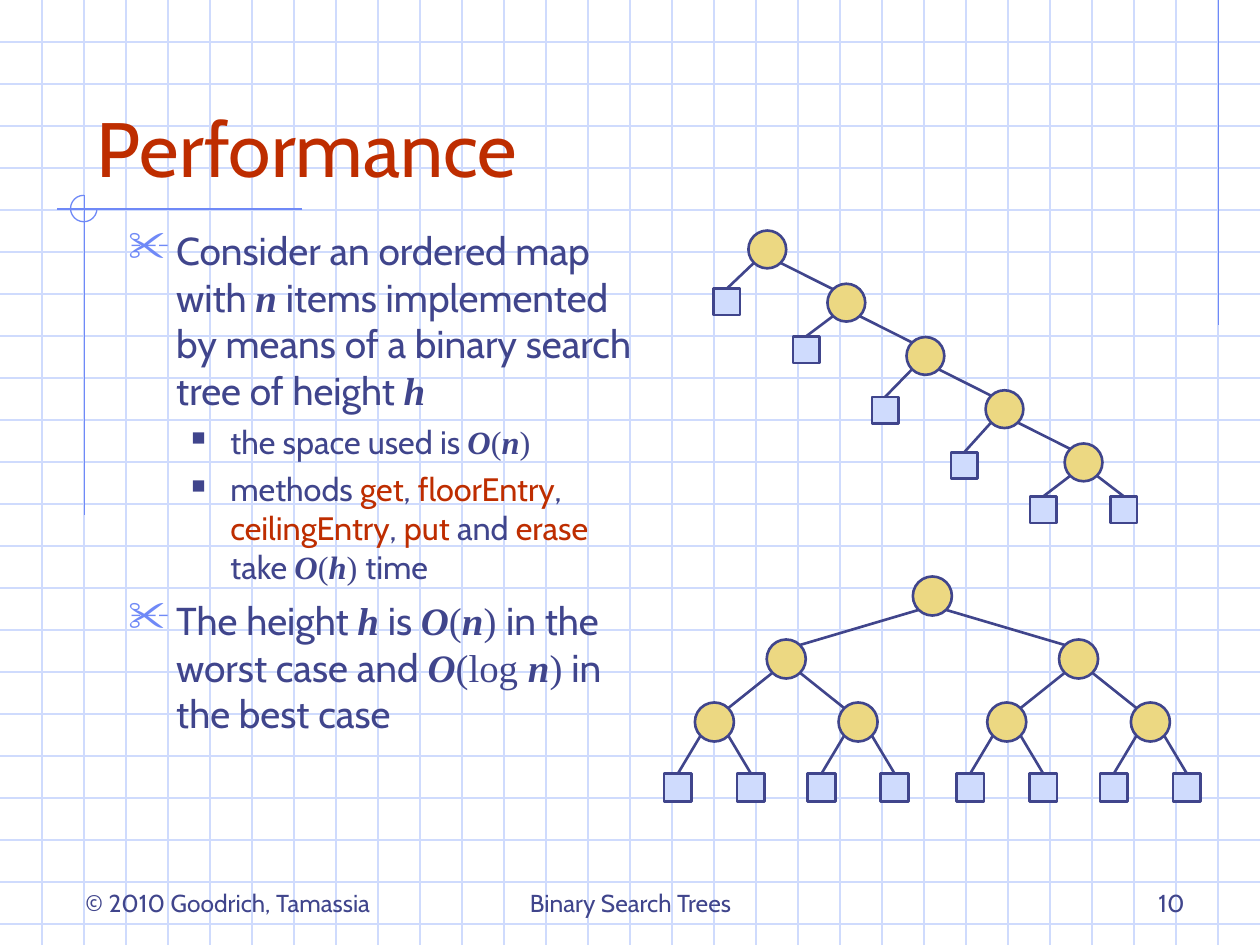
from lxml import etree
from pptx import Presentation
from pptx.dml.color import RGBColor
from pptx.enum import shapes, text
from pptx.oxml import ns
from pptx.util import Inches, Pt

NAVY = RGBColor(0x40, 0x45, 0x8C)
RED = RGBColor(0xBE, 0x2D, 0x00)
BLUE = RGBColor(0x6F, 0x89, 0xF7)
PALE = RGBColor(0xCF, 0xDB, 0xFD)
GOLD = RGBColor(0xEC, 0xD8, 0x82)
SANS, SERIF = "Cabin", "Times New Roman"

PLAIN = (SANS, False, NAVY)
METHOD = (SANS, False, RED)
SYMBOL = (SERIF, True, NAVY)
MATH = (SERIF, False, NAVY)

WIDTH, HEIGHT, GRID_PER_INCH = 10, 7.5, 3
RULES = [
    (9.67, 0, 9.67, 2.58),
    (2.4, 1.66, 0.45, 1.66),
    (0.67, 1.55, 0.67, 4.09),
]
LABELS = [
    ("Performance", (0.67, 0.33, 8.75, 1.25), 44, RED, text.PP_ALIGN.LEFT),
    ("© 2010 Goodrich, Tamassia", (0.58, 6.83, 2.67, 0.5), 14, NAVY, text.PP_ALIGN.LEFT),
    ("Binary Search Trees", (3.42, 6.83, 3.17, 0.5), 14, NAVY, text.PP_ALIGN.CENTER),
    ("10", (7.17, 6.83, 2.33, 0.5), 14, NAVY, text.PP_ALIGN.RIGHT),
]
LEVELS = [
    dict(size=22.2, before=6, left=0.38, hang=0.38, bullet="✂", color=BLUE, percent=110),
    dict(size=18.5, before=5, left=0.81, hang=0.31, bullet="■", color=NAVY, percent=60),
]
BODY = [
    (0, [("Consider an ordered map with ", PLAIN), ("n", SYMBOL),
         (" items implemented by means of a binary search tree of height ", PLAIN),
         ("h", SYMBOL)]),
    (1, [("the space used is ", PLAIN), ("O", SYMBOL), ("(", MATH), ("n", SYMBOL), (")", MATH)]),
    (1, [("methods ", PLAIN), ("get", METHOD), (", ", PLAIN), ("floorEntry", METHOD),
         (", ", PLAIN), ("ceilingEntry", METHOD), (",", PLAIN), (" put ", METHOD),
         ("and ", PLAIN), ("erase", METHOD), (" take ", PLAIN), ("O", SYMBOL),
         ("(", MATH), ("h", SYMBOL), (") ", MATH), ("time", PLAIN)]),
    (0, [("The height ", PLAIN), ("h", SYMBOL), (" is ", PLAIN), ("O", SYMBOL),
         ("(", MATH), ("n", SYMBOL), (") ", MATH), ("in the worst case and ", PLAIN),
         ("O", SYMBOL), ("(log ", MATH), ("n", SYMBOL), (")", MATH),
         (" in the best case", PLAIN)]),
]

CHAIN_START, CHAIN_END = (6.09, 1.98), (8.6, 3.67)
CHAIN_LEAF_TOPS = [2.29, 2.67, 3.15, 3.59, 3.94]
CHAIN_LEAF_OFFSET = 0.32
ROOT = (7.4, 4.73)
LEVEL_OFFSETS, LEVEL_GAP = [1.16, 0.57], 0.5
BALANCED_LEAF_OFFSET, BALANCED_LEAF_TOP = 0.29, 6.14


def add_line(page, ends, color, weight):
    line = page.shapes.add_connector(shapes.MSO_CONNECTOR.STRAIGHT, *map(Inches, ends))
    line.line.color.rgb = color
    line.line.width = Pt(weight)
    etree.SubElement(line._element.spPr, ns.qn("a:effectLst"))
    return line


def add_figure(page, kind, place, fill, color, weight):
    figure = page.shapes.add_shape(kind, *map(Inches, place))
    figure.shadow.inherit = False
    if fill is None:
        figure.fill.background()
    else:
        figure.fill.solid()
        figure.fill.fore_color.rgb = fill
    figure.line.color.rgb = color
    figure.line.width = Pt(weight)
    return figure


def add_box(page, place, anchor):
    box = page.shapes.add_textbox(*map(Inches, place))
    box.text_frame.word_wrap = True
    box.text_frame.vertical_anchor = anchor
    return box.text_frame


def add_bullet(para, level):
    props = para._p.get_or_add_pPr()
    props.set("marL", str(Inches(level["left"])))
    props.set("indent", str(-Inches(level["hang"])))
    color = etree.SubElement(props, ns.qn("a:buClr"))
    etree.SubElement(color, ns.qn("a:srgbClr"), val=str(level["color"]))
    etree.SubElement(props, ns.qn("a:buSzPct"), val=str(level["percent"] * 1000))
    etree.SubElement(props, ns.qn("a:buChar"), char=level["bullet"])


def add_body(page):
    frame = add_box(page, (0.92, 1.75, 4.25, 5.08), text.MSO_ANCHOR.TOP)
    for index, (depth, spans) in enumerate(BODY):
        level = LEVELS[depth]
        para = frame.add_paragraph() if index else frame.paragraphs[0]
        para.level = depth
        add_bullet(para, level)
        para.space_before = Pt(level["before"] if index else 0)
        para.font.size = Pt(level["size"])
        for words, (font, slanted, color) in spans:
            span = para.add_run()
            span.text = words
            span.font.name = font
            span.font.bold = span.font.italic = slanted
            span.font.color.rgb = color


def draw_tree(page, nodes, leaves, node_size, leaf_size):
    reach = node_size * 0.36
    for x, y, parent in nodes:
        if parent is not None:
            px, py, _ = nodes[parent]
            side = 1 if x > px else -1
            add_line(page, (px + side * reach, py + reach, x - side * reach, y - reach),
                     NAVY, 1.5)
    for x, top, parent in leaves:
        px, py, _ = nodes[parent]
        side = 1 if x > px else -1
        leaf = add_figure(page, shapes.MSO_SHAPE.RECTANGLE,
                          (x - leaf_size / 2, top, leaf_size, leaf_size), PALE, NAVY, 1.5)
        edge = add_line(page, (px + side * reach, py + reach, x, top), NAVY, 1.5)
        edge.end_connect(leaf, 0)
    for x, y, _ in nodes:
        add_figure(page, shapes.MSO_SHAPE.OVAL,
                   (x - node_size / 2, y - node_size / 2, node_size, node_size),
                   GOLD, NAVY, 1.5)


def chain_tree():
    last = len(CHAIN_LEAF_TOPS) - 1
    (x0, y0), (x1, y1) = CHAIN_START, CHAIN_END
    nodes = [(x0 + (x1 - x0) * i / last, y0 + (y1 - y0) * i / last, i - 1 if i else None)
             for i in range(last + 1)]
    leaves = [(nodes[i][0] - CHAIN_LEAF_OFFSET, top, i)
              for i, top in enumerate(CHAIN_LEAF_TOPS)]
    leaves.append((nodes[last][0] + CHAIN_LEAF_OFFSET, CHAIN_LEAF_TOPS[last], last))
    return nodes, leaves


def balanced_tree():
    nodes, level = [(*ROOT, None)], [0]
    for offset in LEVEL_OFFSETS:
        start = len(nodes)
        nodes += [(nodes[i][0] + side * offset, nodes[i][1] + LEVEL_GAP, i)
                  for i in level for side in (-1, 1)]
        level = range(start, len(nodes))
    leaves = [(nodes[i][0] + side * BALANCED_LEAF_OFFSET, BALANCED_LEAF_TOP, i)
              for i in level for side in (-1, 1)]
    return nodes, leaves


def main():
    deck = Presentation()
    deck.slide_width, deck.slide_height = Inches(WIDTH), Inches(HEIGHT)
    page = deck.slides.add_slide(deck.slide_layouts[6])

    for i in range(1, int(HEIGHT * GRID_PER_INCH) + 1):
        add_line(page, (0, i / GRID_PER_INCH, WIDTH, i / GRID_PER_INCH), PALE, 0.75)
    for i in range(1, WIDTH * GRID_PER_INCH):
        add_line(page, (i / GRID_PER_INCH, 0, i / GRID_PER_INCH, HEIGHT), PALE, 0.75)
    for ends in RULES:
        add_line(page, ends, BLUE, 0.75)
    arc = add_figure(page, shapes.MSO_SHAPE.ARC, (0.56, 1.55, 0.21, 0.21), None, BLUE, 0.75)
    arc.adjustments[0], arc.adjustments[1] = 0, 162

    for words, place, size, color, align in LABELS:
        para = add_box(page, place, text.MSO_ANCHOR.BOTTOM).paragraphs[0]
        para.text = words
        para.alignment = align
        para.font.name, para.font.size = SANS, Pt(size)
        para.font.color.rgb = color
    add_body(page)
    draw_tree(page, *chain_tree(), 0.3, 0.21)
    draw_tree(page, *balanced_tree(), 0.31, 0.22)
    deck.save("out.pptx")


if __name__ == "__main__":
    main()
